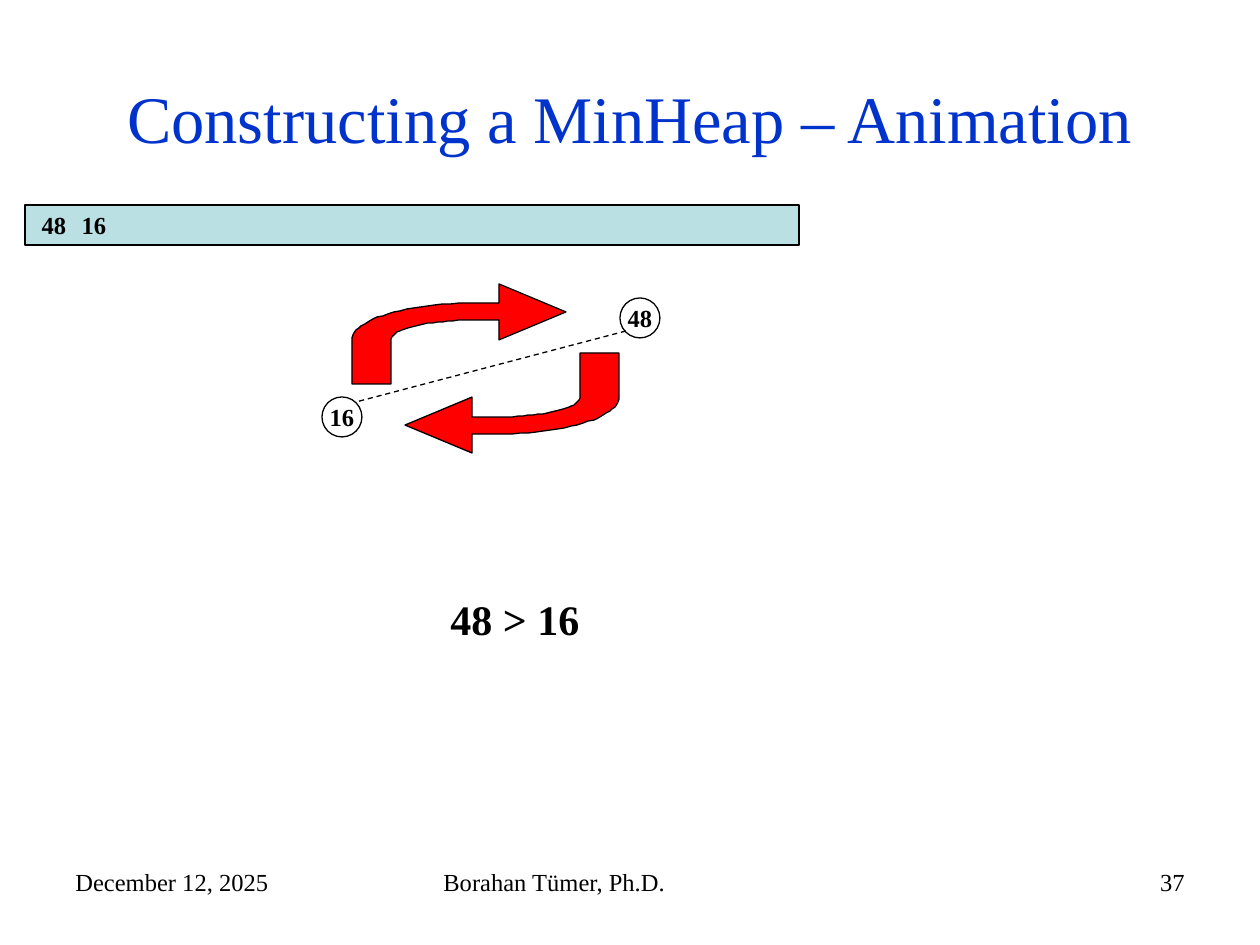
from math import cos, pi, sin

from lxml.etree import SubElement
from pptx import Presentation
from pptx.dml.color import RGBColor
from pptx.enum.dml import MSO_LINE_DASH_STYLE as Dash
from pptx.enum.shapes import MSO_CONNECTOR as Connector, MSO_SHAPE as Shape
from pptx.enum.text import MSO_ANCHOR as Anchor, PP_ALIGN as Align
from pptx.oxml.ns import qn
from pptx.util import Pt

PX = 914400 / 126
BLACK = RGBColor(0, 0, 0)
WHITE = RGBColor(255, 255, 255)
BLUE = RGBColor(0, 0x33, 0xCC)
PALE_TEAL = RGBColor(0xBB, 0xE0, 0xE3)
RED = RGBColor(255, 0, 0)


def px(*lengths):
    return [round(length * PX) for length in lengths]


def write(shape, text, size=14, color=BLACK, bold=False, align=Align.LEFT,
          anchor=Anchor.TOP, wrap=True, inset=None):
    frame = shape.text_frame
    frame.word_wrap = wrap
    frame.vertical_anchor = anchor
    if inset is not None:
        frame.margin_left = frame.margin_right = inset
        frame.margin_top = frame.margin_bottom = inset
    paragraph = frame.paragraphs[0]
    paragraph.alignment = align
    run = paragraph.add_run()
    run.text = text
    run.font.name = "Times New Roman"
    run.font.size = Pt(size)
    run.font.bold = bold
    run.font.color.rgb = color


prs = Presentation()
prs.slide_width, prs.slide_height = px(1260, 945)
slide = prs.slides.add_slide(prs.slide_layouts[5])
shapes = slide.shapes

title = shapes.title
title.left, title.top, title.width, title.height = px(63, 38, 1134, 158)
write(title, "Constructing a MinHeap – Animation", size=38, color=BLUE,
      align=Align.CENTER, anchor=Anchor.MIDDLE)

for left, width, text, align in [
    (63, 294, "December 12, 2025", Align.LEFT),
    (431, 399, "Borahan Tümer, Ph.D.", Align.LEFT),
    (903, 294, "37", Align.RIGHT),
]:
    write(shapes.add_textbox(*px(left, 861, width, 66)), text, align=align)

array_bar = shapes.add_shape(Shape.RECTANGLE, *px(25, 205, 774, 40))
array_bar.shadow.inherit = False
array_bar.fill.solid()
array_bar.fill.fore_color.rgb = PALE_TEAL
array_bar.line.color.rgb = BLACK
array_bar.line.width = Pt(0.75)

for left, top, key, outlined in [
    (322, 397, "16", True),
    (620, 298, "48", True),
    (34, 205, "48", False),
    (74, 205, "16", False),
]:
    node = shapes.add_shape(Shape.OVAL, *px(left, top, 40, 40))
    node.shadow.inherit = False
    node.fill.background()
    if outlined:
        node.line.color.rgb = BLACK
        node.line.width = Pt(0.75)
    else:
        node.line.fill.background()
    write(node, key, bold=True, align=Align.CENTER, anchor=Anchor.MIDDLE,
          wrap=False, inset=0)

edge = shapes.add_connector(Connector.STRAIGHT, *px(626, 331, 356, 402))
edge.line.color.rgb = BLACK
edge.line.width = Pt(0.75)
edge.line.dash_style = Dash.DASH
SubElement(edge._element.spPr, qn("a:effectLst"))

comparison = shapes.add_textbox(*px(438, 587, 154, 63))
comparison.fill.solid()
comparison.fill.fore_color.rgb = WHITE
write(comparison, "48 > 16", size=24, bold=True, wrap=False)

quarter = [pi / 2 * step / 24 for step in range(25)]
outer_bend = [(123 - 123 * sin(a), 56 - 37 * cos(a)) for a in quarter]
inner_bend = [(123 - 84 * cos(a), 56 - 20 * sin(a)) for a in quarter]
arrow_outline = [(147, 0), (147, 19), *outer_bend, (0, 100), (39, 100),
                 *inner_bend, (147, 36), (147, 56)]

for left, top, rotation in [(352, 284, 0), (405, 353, 180)]:
    builder = shapes.build_freeform(214, 28, scale=PX)
    builder.add_line_segments(arrow_outline, close=True)
    swap_arrow = builder.convert_to_shape(*px(left, top))
    swap_arrow.rotation = rotation
    swap_arrow.shadow.inherit = False
    swap_arrow.fill.solid()
    swap_arrow.fill.fore_color.rgb = RED
    swap_arrow.line.color.rgb = BLACK
    swap_arrow.line.width = Pt(0.75)

prs.save("out.pptx")
